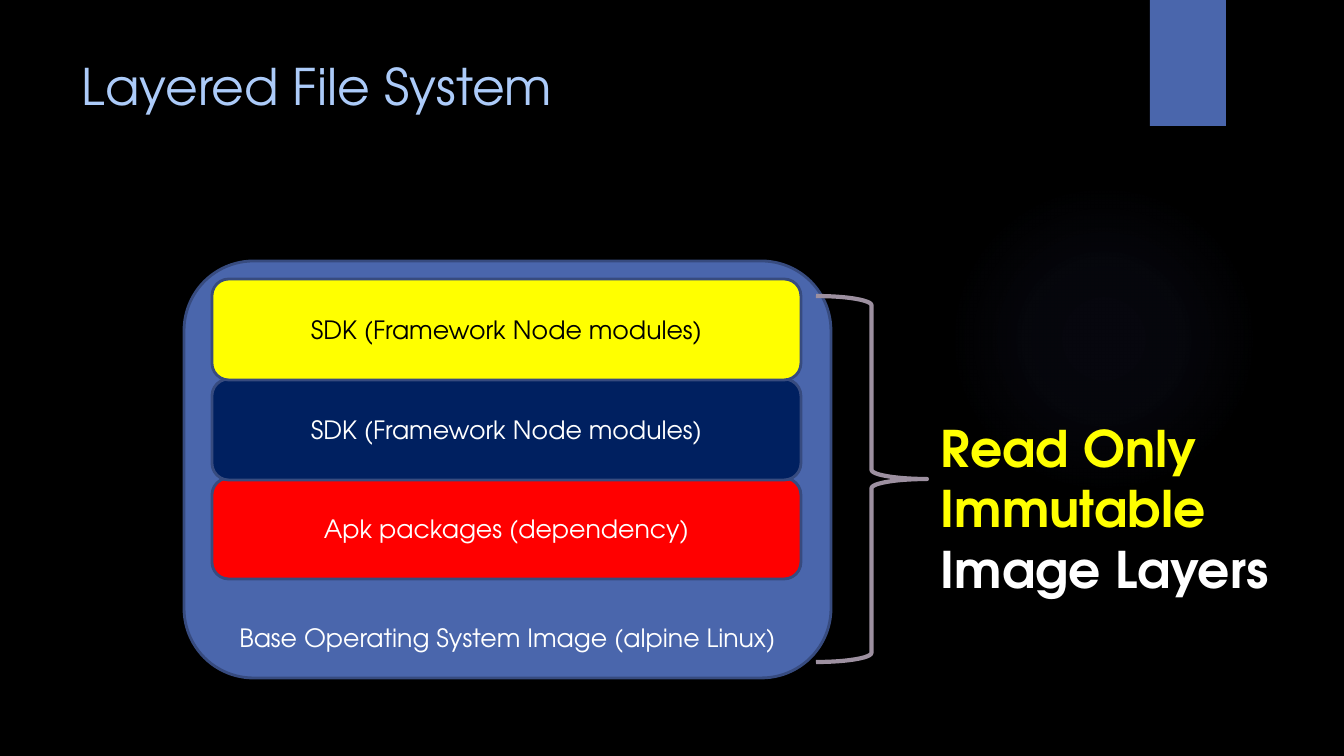
from pptx import Presentation
from pptx.dml.color import RGBColor
from pptx.enum.shapes import MSO_SHAPE as Kind
from pptx.enum.text import MSO_ANCHOR as Anchor, PP_ALIGN as Align
from pptx.oxml import parse_xml
from pptx.oxml.ns import nsdecls
from pptx.util import Pt

PX = 12192000 / 1344
FONT = "TeX Gyre Adventor"
BLACK = RGBColor(0, 0, 0)
WHITE = RGBColor(255, 255, 255)
BLUE = RGBColor(0x4A, 0x66, 0xAC)
EDGE = RGBColor(0x37, 0x4B, 0x7F)
SKY = RGBColor(0xAC, 0xCB, 0xF9)
NAVY = RGBColor(0x00, 0x20, 0x60)
RED = RGBColor(255, 0, 0)
YELLOW = RGBColor(255, 255, 0)
MAUVE = RGBColor(0x9D, 0x90, 0xA0)
GLOW = RGBColor(0x5C, 0x64, 0xB7)


def px(*nums):
    return [round(n * PX) for n in nums]


def set_font(font, size, color, bold=False):
    font.name = FONT
    font.size = Pt(size)
    font.bold = bold
    font.color.rgb = color


def add_shape(slide, kind, box, fill=None, line=None, width=2):
    shape = slide.shapes.add_shape(kind, *px(*box))
    shape.shadow.inherit = False
    if fill is None:
        shape.fill.background()
    else:
        shape.fill.solid()
        shape.fill.fore_color.rgb = fill
    if line is None:
        shape.line.fill.background()
    else:
        shape.line.color.rgb = line
        shape.line.width = Pt(width)
    return shape


def add_layer(slide, box, text, fill, color=WHITE, anchor=Anchor.MIDDLE):
    shape = add_shape(slide, Kind.ROUNDED_RECTANGLE, box, fill, EDGE)
    frame = shape.text_frame
    frame.word_wrap = True
    frame.vertical_anchor = anchor
    par = frame.paragraphs[0]
    par.text = text
    par.alignment = Align.CENTER
    set_font(par.font, 18, color)


def add_glow(slide, box):
    """Add a faint disc that fades out from its centre."""
    shape = add_shape(slide, Kind.OVAL, box)
    stops = "".join(
        f'<a:gs pos="{pos}000"><a:srgbClr val="{GLOW}">'
        f'<a:alpha val="{alpha}000"/></a:srgbClr></a:gs>'
        for pos, alpha in ((0, 7), (36, 6), (69, 0)))
    grad = parse_xml(
        f'<a:gradFill {nsdecls("a")}><a:gsLst>{stops}</a:gsLst>'
        '<a:path path="circle"><a:fillToRect l="50000" t="50000" '
        'r="50000" b="50000"/></a:path></a:gradFill>')
    props = shape.element.spPr
    blank = props.find("{*}noFill")
    props.replace(blank, grad)


def add_text(slide, box, lines, color, bold=False):
    """Add 36 pt lines, each a list of (text, own color or None)."""
    frame = slide.shapes.add_textbox(*px(*box)).text_frame
    frame.word_wrap = True
    for i, runs in enumerate(lines):
        par = frame.add_paragraph() if i else frame.paragraphs[0]
        set_font(par.font, 36, color, bold)
        for text, tint in runs:
            run = par.add_run()
            run.text = text
            if tint is not None:
                run.font.color.rgb = tint


def main():
    deck = Presentation()
    deck.slide_width, deck.slide_height = px(1344, 756)
    slide = deck.slides.add_slide(deck.slide_layouts[6])
    back = slide.background.fill
    back.solid()
    back.fore_color.rgb = BLACK

    add_glow(slide, (949, 184, 310, 310))
    add_shape(slide, Kind.RECTANGLE, (1150, 0, 76, 126), BLUE)
    add_text(slide, (72, 50, 1037, 154),
             [[("Layered File System", None)]], SKY)

    add_layer(slide, (184, 261, 647, 417),
              "Base Operating System Image (alpine Linux)", BLUE,
              anchor=Anchor.BOTTOM)
    layers = [
        ("Apk packages (dependency)", RED, WHITE),
        ("SDK (Framework Node modules)", NAVY, WHITE),
        ("SDK (Framework Node modules)", YELLOW, BLACK),
    ]
    for i, (text, fill, color) in enumerate(layers):
        add_layer(slide, (212, 478 - i * 199 // 2, 589, 101),
                  text, fill, color)

    add_shape(slide, Kind.RIGHT_BRACE, (816, 296, 111, 366),
              line=MAUVE, width=3)
    add_text(slide, (931, 412, 392, 194),
             [[("Read Only", None)],
              [("Immutable ", None), ("Image Layers", WHITE)]],
             YELLOW, bold=True)
    deck.save("out.pptx")


if __name__ == "__main__":
    main()
